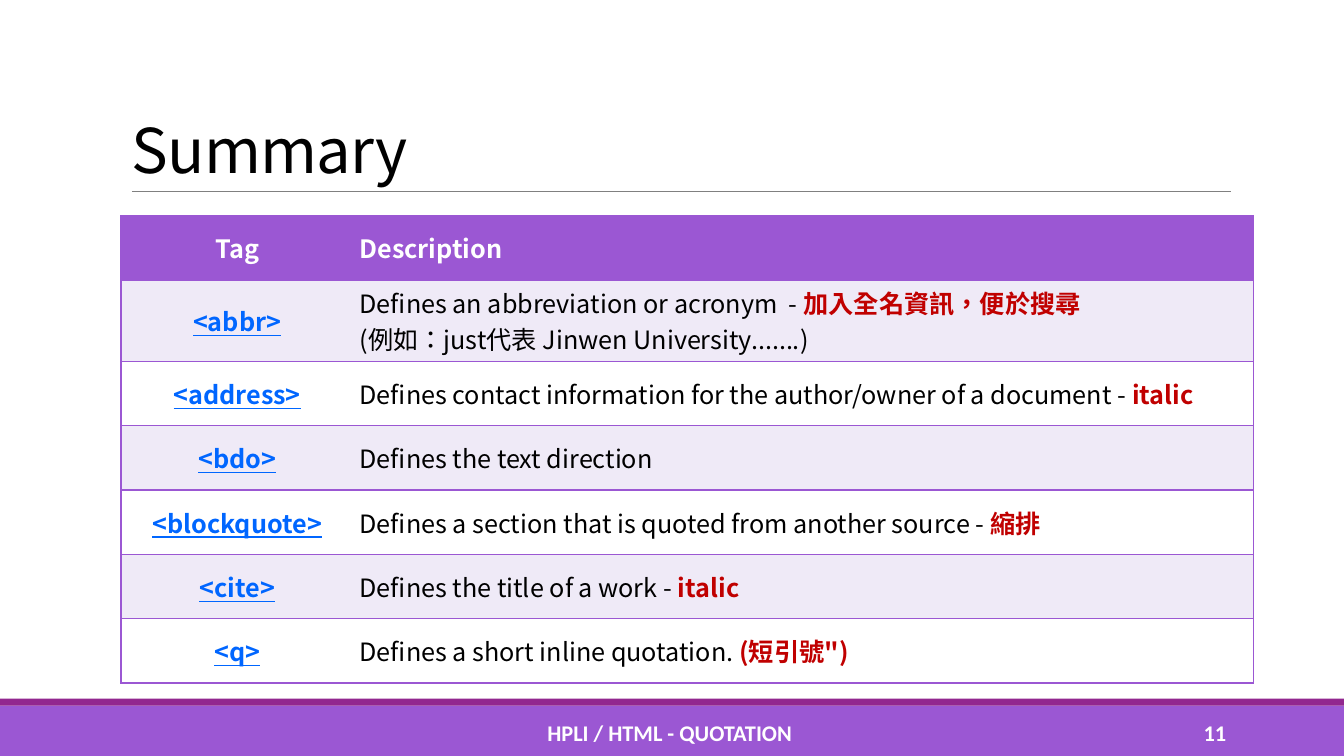
from dataclasses import dataclass

from lxml.etree import SubElement
from pptx import Presentation
from pptx.dml.color import RGBColor
from pptx.enum.shapes import MSO_CONNECTOR, MSO_SHAPE
from pptx.enum.text import MSO_ANCHOR, PP_ALIGN
from pptx.oxml.ns import qn
from pptx.slide import Slide
from pptx.table import _Cell
from pptx.text.text import TextFrame, _Paragraph, _Run
from pptx.util import Pt

SANS = "Noto Sans CJK SC"
PURPLE, PLUM, LAVENDER = "9B57D3", "92278F", "EFEAF7"
BLACK, WHITE, GRAY, RED, BLUE = "000000", "FFFFFF", "808080", "C00000", "0066FF"
ROW_HEIGHT, TWO_LINE_HEIGHT = 46, 58


@dataclass
class Tag:
    name: str
    description: str
    remark: str = ""
    example: str = ""


@dataclass
class Label:
    text: str
    left: float
    top: float
    width: float
    height: float
    size: float
    font: str
    color: str
    bold: bool
    align: PP_ALIGN
    anchor: MSO_ANCHOR


@dataclass
class Band:
    top: float
    height: float
    color: str


TAGS = [
    Tag("<abbr>", "Defines an abbreviation or acronym  - ", "加入全名資訊，便於搜尋",
        "(例如：just代表 Jinwen University.......)"),
    Tag("<address>", "Defines contact information for the author/owner of a document - ", "italic"),
    Tag("<bdo>", "Defines the text direction"),
    Tag("<blockquote>", "Defines a section that is quoted from another source - ", "縮排"),
    Tag("<cite>", "Defines the title of a work - ", "italic"),
    Tag("<q>", "Defines a short inline quotation. ", '(短引號")'),
]
BANDS = [Band(504, 36, PURPLE), Band(499, 5, PLUM)]
TITLE = Label("Summary", 86.8, 22, 792, 114.5, 44, SANS, BLACK, False,
              PP_ALIGN.LEFT, MSO_ANCHOR.BOTTOM)
FOOTERS = [
    Label("HPLI / HTML - QUOTATION ", 290.4, 509, 379.5, 28.75, 16, "Calibri", WHITE, True,
          PP_ALIGN.CENTER, MSO_ANCHOR.MIDDLE),
    Label("11", 780, 509, 103, 28.75, 16, "Calibri", WHITE, True,
          PP_ALIGN.RIGHT, MSO_ANCHOR.MIDDLE),
]


def rgb(color: str) -> RGBColor:
    return RGBColor.from_string(color)


def style_run(run: _Run, size: float, font: str, color: str, bold: bool) -> None:
    run.font.size = Pt(size)
    run.font.bold = bold
    run.font.color.rgb = rgb(color)
    run.font.name = font
    SubElement(run.font._element, qn("a:ea")).set("typeface", font)


def add_run(paragraph: _Paragraph, text: str, color: str, bold: bool) -> _Run:
    """Add table text, set as Traditional Chinese so that its punctuation is centred."""
    run = paragraph.add_run()
    run.text = text
    style_run(run, 18, SANS, color, bold)
    run.font._element.set("lang", "zh-TW")
    return run


def add_label(slide: Slide, label: Label) -> TextFrame:
    box = slide.shapes.add_textbox(
        Pt(label.left), Pt(label.top), Pt(label.width), Pt(label.height))
    frame = box.text_frame
    frame.word_wrap = True
    frame.vertical_anchor = label.anchor
    frame.text = label.text
    paragraph = frame.paragraphs[0]
    paragraph.alignment = label.align
    style_run(paragraph.runs[0], label.size, label.font, label.color, label.bold)
    return frame


def add_title(slide: Slide) -> None:
    heading = add_label(slide, TITLE).paragraphs[0]
    heading.line_spacing = 0.85
    heading.runs[0].font._element.set("spc", "-50")


def add_band(slide: Slide, band: Band) -> None:
    bar = slide.shapes.add_shape(
        MSO_SHAPE.RECTANGLE, 0, Pt(band.top), Pt(960), Pt(band.height))
    bar.shadow.inherit = False
    bar.fill.solid()
    bar.fill.fore_color.rgb = rgb(band.color)
    bar.line.fill.background()


def add_title_rule(slide: Slide) -> None:
    rule = slide.shapes.add_connector(
        MSO_CONNECTOR.STRAIGHT, Pt(94.3), Pt(136.8), Pt(879), Pt(136.8))
    rule.line.color.rgb = rgb(GRAY)
    rule.line.width = Pt(0.5)
    SubElement(rule._element.spPr, qn("a:effectLst"))


def style_cell(cell: _Cell, fill: str, hidden_side: str) -> None:
    """Set margins, fill and purple borders on all sides but one."""
    cell.margin_left = cell.margin_right = Pt(4.5)
    cell.margin_top = cell.margin_bottom = Pt(2.9)
    cell.vertical_anchor = MSO_ANCHOR.MIDDLE
    properties = cell._tc.get_or_add_tcPr()
    for side in ("lnL", "lnR", "lnT", "lnB"):
        border = SubElement(properties, qn(f"a:{side}"), w=str(Pt(1)))
        if side == hidden_side:
            SubElement(border, qn("a:noFill"))
        else:
            paint = SubElement(border, qn("a:solidFill"))
            SubElement(paint, qn("a:srgbClr"), val=PURPLE)
    cell.fill.solid()
    cell.fill.fore_color.rgb = rgb(fill)


def add_tag_table(slide: Slide) -> None:
    heights = [ROW_HEIGHT] + [TWO_LINE_HEIGHT if tag.example else ROW_HEIGHT for tag in TAGS]
    table = slide.shapes.add_table(
        len(heights), 2, Pt(86.4), Pt(154), Pt(809), Pt(sum(heights))).table
    table.horz_banding = False
    table.columns[0].width, table.columns[1].width = Pt(166), Pt(643)
    for index, (row, height) in enumerate(zip(table.rows, heights)):
        row.height = Pt(height)
        fill = PURPLE if index == 0 else LAVENDER if index % 2 else WHITE
        for cell, hidden_side in zip(row.cells, ("lnR", "lnL")):
            style_cell(cell, fill, hidden_side)
        row.cells[0].text_frame.paragraphs[0].alignment = PP_ALIGN.CENTER

    for column, heading in enumerate(("Tag", "Description")):
        add_run(table.cell(0, column).text_frame.paragraphs[0], heading, WHITE, True)
    for index, tag in enumerate(TAGS, start=1):
        name = add_run(table.cell(index, 0).text_frame.paragraphs[0], tag.name, BLUE, True)
        name.font.underline = True
        details = table.cell(index, 1).text_frame
        add_run(details.paragraphs[0], tag.description, BLACK, False)
        if tag.remark:
            add_run(details.paragraphs[0], tag.remark, RED, True)
        if tag.example:
            add_run(details.add_paragraph(), tag.example, BLACK, False)


def main() -> None:
    presentation = Presentation()
    presentation.slide_width, presentation.slide_height = Pt(960), Pt(540)
    slide = presentation.slides.add_slide(presentation.slide_layouts[6])
    for band in BANDS:
        add_band(slide, band)
    add_title_rule(slide)
    add_title(slide)
    add_tag_table(slide)
    for footer in FOOTERS:
        add_label(slide, footer)
    presentation.save("out.pptx")


if __name__ == "__main__":
    main()
